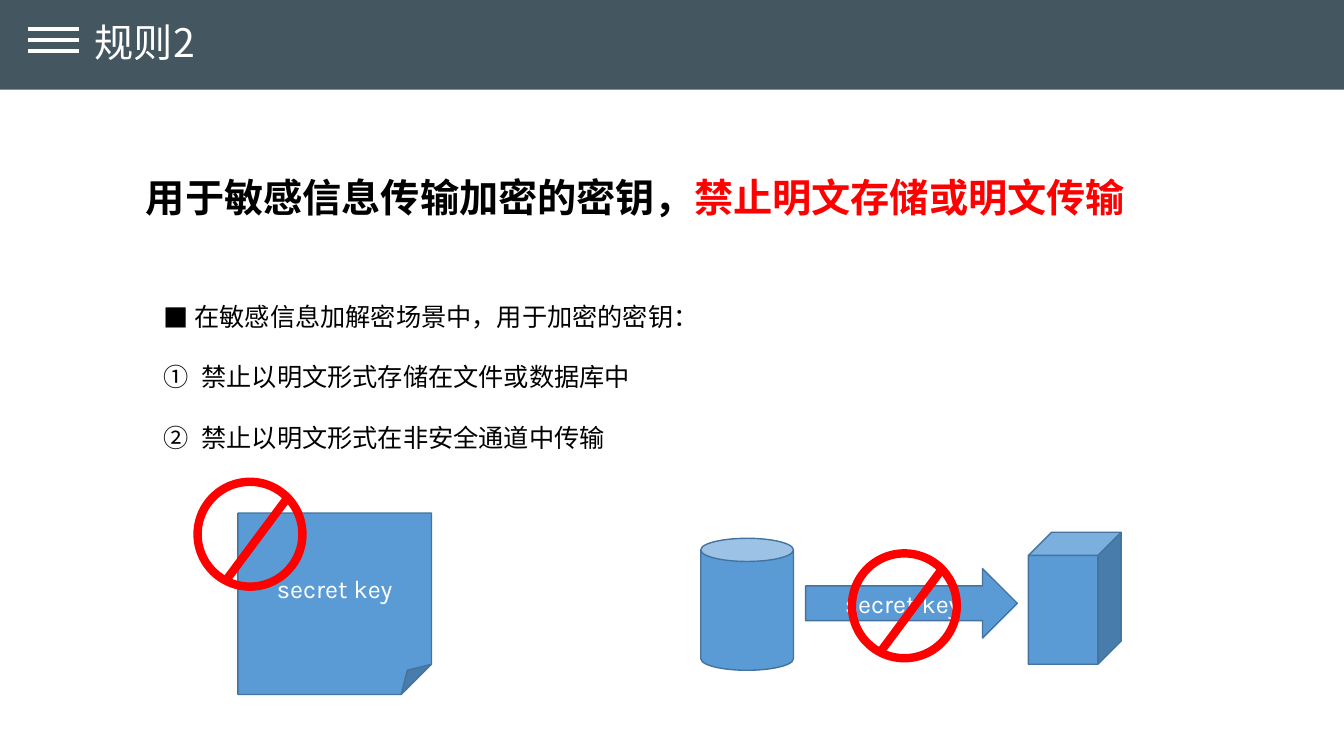
from lxml import etree
from pptx import Presentation
from pptx.dml.color import RGBColor
from pptx.enum.shapes import MSO_CONNECTOR, MSO_SHAPE
from pptx.enum.text import MSO_ANCHOR, MSO_AUTO_SIZE, PP_ALIGN
from pptx.oxml.ns import qn
from pptx.util import Inches, Pt

STRAIGHT = MSO_CONNECTOR.STRAIGHT
RECT, OVAL = MSO_SHAPE.RECTANGLE, MSO_SHAPE.OVAL
NOTE, CAN = MSO_SHAPE.FOLDED_CORNER, MSO_SHAPE.CAN
CUBE, ARROW = MSO_SHAPE.CUBE, MSO_SHAPE.RIGHT_ARROW
TOP, MIDDLE = MSO_ANCHOR.TOP, MSO_ANCHOR.MIDDLE
LEFT, CENTER = PP_ALIGN.LEFT, PP_ALIGN.CENTER
NO_FIT = MSO_AUTO_SIZE.NONE

COLORS = {"bar": "445660", "white": "FFFFFF", "black": "000000",
          "red": "FF0000", "blue": "5B9BD5", "edge": "43739E"}
LATIN, CJK = "Karla", "Noto Sans CJK SC"


def rgb(name):
    """Return the named colour."""
    return RGBColor.from_string(COLORS[name])


def add_run(p, text, color, size, font=LATIN, bold=False):
    """Add a formatted run to a paragraph."""
    r = p.add_run()
    r.text = text
    for key, value in {"size": Pt(size), "name": font, "bold": bold}.items():
        setattr(r.font, key, value)
    r.font.color.rgb = rgb(color)
    ea = etree.SubElement(r.font._element, qn("a:ea"))
    ea.set("typeface", CJK)


def format_frame(tf, anchor=TOP):
    """Set wrapping, fitting and anchoring of a text frame."""
    settings = {"word_wrap": True, "auto_size": NO_FIT, "vertical_anchor": anchor}
    for key, value in settings.items():
        setattr(tf, key, value)


def add_text(s, *box):
    """Add a text box and return its text frame."""
    tf = s.shapes.add_textbox(*map(Inches, box)).text_frame
    format_frame(tf)
    return tf


def add_shape(shapes, kind, box, fill=None, line=None, width=1, text=""):
    """Add a preset shape with an optional centred label."""
    sp = shapes.add_shape(kind, *map(Inches, box))
    sp.shadow.inherit = False
    if fill:
        sp.fill.solid()
        sp.fill.fore_color.rgb = rgb(fill)
    else:
        sp.fill.background()
    if line:
        sp.line.color.rgb = rgb(line)
        sp.line.width = Pt(width)
    else:
        sp.line.fill.background()
    if text:
        format_frame(sp.text_frame, MIDDLE)
        p = sp.text_frame.paragraphs[0]
        p.alignment = CENTER
        add_run(p, text, "white", 18)
    return sp


def add_line(shapes, points, color, width):
    """Add a straight line without a shadow."""
    cxn = shapes.add_connector(STRAIGHT, *map(Inches, points))
    cxn.line.color.rgb = rgb(color)
    cxn.line.width = Pt(width)
    etree.SubElement(cxn._element.spPr, qn("a:effectLst"))


def add_header(s, text):
    """Add the header bar, its menu icon and the slide title."""
    bar = add_shape(s.shapes, RECT, (0, -0.01, 13.34, 0.9), "bar")
    title = s.shapes.title
    title.element.addprevious(bar.element)
    box = {"left": 0.84, "top": 0.13, "width": 3.28, "height": 0.6}
    for key, value in box.items():
        setattr(title, key, Inches(value))
    format_frame(title.text_frame)
    p = title.text_frame.paragraphs[0]
    p.alignment = LEFT
    add_run(p, text, "white", 28, CJK)
    menu = s.shapes.add_group_shape()
    for i in range(3):
        y = 0.29 + 0.11 * i
        add_line(menu.shapes, (0.28, y, 0.78, y), "white", 3)


def add_bullet(p, text, indent, tag, **attrs):
    """Fill a paragraph with a hanging bullet or number."""
    p.line_spacing = 2.0
    pPr = p._p.get_or_add_pPr()
    pPr.set("marL", str(Inches(indent)))
    pPr.set("indent", str(-Inches(indent)))
    etree.SubElement(pPr, qn("a:buFont")).set("typeface", CJK)
    bullet = etree.SubElement(pPr, qn(tag))
    for key, value in attrs.items():
        bullet.set(key, value)
    add_run(p, text, "black", 18)


def add_ban(s, x, y):
    """Add a prohibition sign with its top left corner at x, y."""
    ban = s.shapes.add_group_shape()
    add_line(ban.shapes, (x + 0.89, y + 0.16, x + 0.28, y + 0.98), "red", 6)
    add_shape(ban.shapes, OVAL, (x, y, 1.04, 1.04), line="red", width=6)


def main():
    """Build the slide and save it."""
    prs = Presentation()
    prs.slide_width, prs.slide_height = Inches(13.33), Inches(7.5)
    s = prs.slides.add_slide(prs.slide_layouts[5])
    add_header(s, "规则2")

    p = add_text(s, 1.35, 1.67, 10.37, 0.6).paragraphs[0]
    add_run(p, "用于敏感信息传输加密的密钥，", "black", 28, bold=True)
    add_run(p, "禁止明文存储或明文传输", "red", 28, bold=True)

    tf = add_text(s, 1.52, 2.64, 9.58, 1.9)
    add_bullet(tf.paragraphs[0], "在敏感信息加解密场景中，用于加密的密钥：",
               0.31, "a:buChar", char="■")
    for text in ("禁止以明文形式存储在文件或数据库中", "禁止以明文形式在非安全通道中传输"):
        add_bullet(tf.add_paragraph(), text, 0.38, "a:buAutoNum",
                   type="circleNumDbPlain")

    add_shape(s.shapes, NOTE, (2.36, 5.09, 1.92, 1.8), "blue", "edge", text="secret key")
    add_ban(s, 1.96, 4.78)
    add_shape(s.shapes, CAN, (6.95, 5.34, 0.92, 1.31), "blue", "edge")
    add_shape(s.shapes, CUBE, (10.2, 5.28, 0.92, 1.31), "blue", "edge")
    add_shape(s.shapes, ARROW, (7.99, 5.64, 2.1, 0.69), "blue", "edge", text="secret key")
    add_ban(s, 8.45, 5.49)
    prs.save("out.pptx")


if __name__ == "__main__":
    main()
